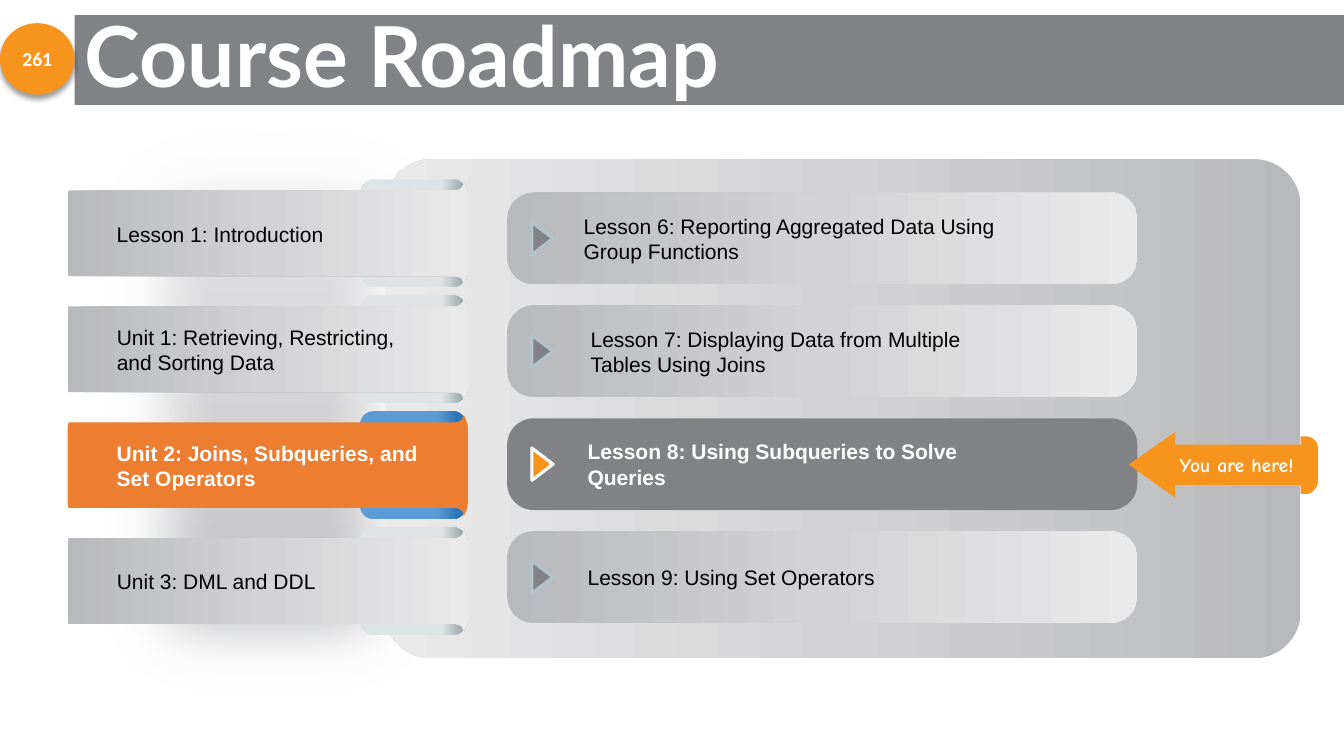
from dataclasses import dataclass

import lxml.etree
import pptx
import pptx.dml.color
import pptx.enum.shapes
import pptx.enum.text
import pptx.oxml.ns
import pptx.util

Inches = pptx.util.Inches
Pt = pptx.util.Pt
qn = pptx.oxml.ns.qn
Shape = pptx.enum.shapes.MSO_SHAPE
Align = pptx.enum.text.PP_ALIGN
Anchor = pptx.enum.text.MSO_ANCHOR
AutoSize = pptx.enum.text.MSO_AUTO_SIZE

COLORS = {
    "gray": "818286", "orange": "F7941D", "unit": "ED7D31", "white": "FFFFFF",
    "black": "000000", "rim": "B4C3C9", "dark": "B8B9BC", "mid": "D3D3D5",
    "light": "E9E9EA", "tab": "DEE4E5", "tab_fold": "96A2A7",
    "blue": "5B9BD5", "blue_fold": "2E75B6",
}


@dataclass(frozen=True)
class Gradient:
    stops: tuple[tuple[int, str], ...]
    clockwise: int = 0


@dataclass(frozen=True)
class Unit:
    text: str
    width: float
    height: float
    current: bool = False


@dataclass(frozen=True)
class Lesson:
    text: str
    left: float
    width: float
    height: float
    current: bool = False


SILVER = ((0, "dark"), (50, "mid"), (100, "light"))
ACROSS = Gradient(SILVER)
TAB = Gradient(((77, "tab"), (99, "tab_fold")))
CURRENT_TAB = Gradient(((73, "blue"), (92, "blue_fold")))

UNITS = [
    Unit("Lesson 1: Introduction", 2.66, 0.35),
    Unit("Unit 1: Retrieving, Restricting, and Sorting Data", 3.21, 0.61),
    Unit("Unit 2: Joins, Subqueries, and Set Operators", 3.26, 0.61, True),
    Unit("Unit 3: DML and DDL", 2.42, 0.35),
]
LESSONS = [
    Lesson("Lesson 6: Reporting Aggregated Data Using Group Functions", 5.69, 4.91, 0.61),
    Lesson("Lesson 7: Displaying Data from Multiple Tables Using Joins", 5.76, 4.47, 0.61),
    Lesson("Lesson 8: Using Subqueries to Solve Queries", 5.73, 4.47, 0.61, True),
    Lesson("Lesson 9: Using Set Operators", 5.73, 4.47, 0.35),
]
UNIT_TOP, UNIT_PITCH = 1.82, 1.15
LESSON_TOP, LESSON_PITCH = 1.91, 1.12

BAND = [
    (4.6, 0), (4.62, 0.03, 4.64, 0.08, 4.64, 0.13), (4.64, 0.87),
    (4.64, 0.92, 4.62, 0.96, 4.6, 1), (4.59, 0.96),
    (4.57, 0.93, 4.54, 0.92, 4.51, 0.92), (0.68, 0.92), (0.67, 0.87),
    (0.67, 0.13), (0.68, 0.07), (4.51, 0.07), (4.54, 0.07, 4.57, 0.06, 4.59, 0.03),
]
MARKER_BACK = [
    (12.9, 4.33), (12.96, 4.33), (13.01, 4.33, 13.06, 4.37, 13.06, 4.43),
    (13.06, 4.8), (13.06, 4.85, 13.01, 4.9, 12.96, 4.9), (12.9, 4.9),
]
MARKER_RIBBON = [
    (13.04, 4.37), (13.06, 4.39, 13.07, 4.41, 13.07, 4.43), (13.07, 4.79),
    (13.07, 4.81, 13.06, 4.83, 13.04, 4.85), (13.03, 4.83),
    (13.02, 4.82, 12.99, 4.81, 12.97, 4.81), (11.53, 4.81), (11.53, 4.41),
    (12.97, 4.41), (12.99, 4.41, 13.02, 4.4, 13.03, 4.39),
]


def rgb(name: str) -> pptx.dml.color.RGBColor:
    return pptx.dml.color.RGBColor.from_string(COLORS[name])


def paint(shape, fill: str | Gradient) -> None:
    shape.shadow.inherit = False
    shape.line.fill.background()
    if isinstance(fill, str):
        shape.fill.solid()
        shape.fill.fore_color.rgb = rgb(fill)
        return
    shape.fill.gradient()
    shape.fill.gradient_angle = (360 - fill.clockwise) % 360
    stops = next(shape._element.spPr.iter(qn("a:gsLst")))
    for stop in list(stops):
        stops.remove(stop)
    for position, color in fill.stops:
        stop = lxml.etree.SubElement(stops, qn("a:gs"), pos=str(position * 1000))
        lxml.etree.SubElement(stop, qn("a:srgbClr"), val=COLORS[color])


def add_block(shapes, kind, box: tuple, fill: str | Gradient, corner: float | None = None):
    block = shapes.add_shape(kind, *map(Inches, box))
    if corner is not None:
        block.adjustments[0] = corner
    paint(block, fill)
    return block


def add_outline(shapes, steps: list[tuple], fill: str | Gradient, top: float = 0):
    points = [steps[0]]
    for step in steps[1:]:
        if len(step) == 2:
            points.append(step)
            continue
        start, first, second, end = points[-1], step[:2], step[2:4], step[4:]
        for t in (k / 8 for k in range(1, 9)):
            points.append(tuple(
                a * (1 - t) ** 3 + 3 * b * t * (1 - t) ** 2 + 3 * c * t * t * (1 - t) + d * t ** 3
                for a, b, c, d in zip(start, first, second, end)))
    corners = [(Inches(x), Inches(y + top)) for x, y in points]
    builder = shapes.build_freeform(*corners[0])
    builder.add_line_segments(corners[1:], close=True)
    paint(builder.convert_to_shape(), fill)


def write(shape, text: str, size: float, font: str, color: str, bold: bool = False,
          align=Align.LEFT, auto_size=AutoSize.SHAPE_TO_FIT_TEXT) -> None:
    frame = shape.text_frame
    frame.text = text
    frame.word_wrap = True
    frame.auto_size = auto_size
    frame.vertical_anchor = Anchor.MIDDLE
    paragraph = frame.paragraphs[0]
    paragraph.alignment = align
    run_font = paragraph.runs[0].font
    run_font.size, run_font.name, run_font.bold = Pt(size), font, bold
    run_font.color.rgb = rgb(color)


def add_label(shapes, item: Unit | Lesson, left: float, middle: float) -> None:
    box = (left, middle - item.height / 2, item.width, item.height)
    label = shapes.add_textbox(*map(Inches, box))
    write(label, item.text, 15, "Arial", "white" if item.current else "black", item.current)


def add_effect(shape, tag: str, **attributes: str):
    effects = shape._element.spPr.find(qn("a:effectLst"))
    return lxml.etree.SubElement(effects, qn(tag), **attributes)


def add_header(slide) -> None:
    title = slide.shapes.title
    title.left, title.top, title.width, title.height = map(Inches, (0.74, 0.15, 12.6, 0.89))
    title.fill.solid()
    title.fill.fore_color.rgb = rgb("gray")
    write(title, "Course Roadmap", 60, "Lato", "white", True, auto_size=AutoSize.NONE)
    title.text_frame.paragraphs[0].line_spacing = 0.9
    badge = add_block(slide.shapes, Shape.OVAL, (0, 0.23, 0.74, 0.71), "orange")
    shadow = add_effect(badge, "a:outerShdw", blurRad=str(Pt(4)), dist=str(Pt(3)), dir="5400000")
    tint = lxml.etree.SubElement(shadow, qn("a:srgbClr"), val=COLORS["black"])
    lxml.etree.SubElement(tint, qn("a:alpha"), val="40000")
    number = slide.shapes.add_textbox(*map(Inches, (0.04, 0.38, 0.66, 0.4)))
    write(number, "261", 14, "Calibri", "white", True, Align.CENTER, AutoSize.NONE)


def add_lessons(shapes) -> None:
    add_block(shapes, Shape.ROUNDED_RECTANGLE, (3.82, 1.58, 9.08, 4.95),
              Gradient(SILVER, 180), 0.093)
    for row, lesson in enumerate(LESSONS):
        top = LESSON_TOP + row * LESSON_PITCH
        add_block(shapes, Shape.ROUNDED_RECTANGLE, (5.03, top, 6.25, 0.91),
                  "gray" if lesson.current else ACROSS, 0.289)
        add_label(shapes, lesson, lesson.left, top + 0.455)
        pointer = add_block(shapes, Shape.ISOSCELES_TRIANGLE, (5.22, top + 0.35, 0.32, 0.21),
                            "orange" if lesson.current else "gray")
        pointer.rotation = 90
        pointer.line.color.rgb = rgb("white" if lesson.current else "rim")
        pointer.line.width = Pt(2.25)


def add_marker(shapes) -> None:
    add_outline(shapes, MARKER_BACK, "orange")
    add_outline(shapes, MARKER_RIBBON, "orange")
    tip = add_block(shapes, Shape.ISOSCELES_TRIANGLE, (11.1, 4.38, 0.65, 0.46), "orange")
    tip.rotation = 270
    caption = add_block(shapes, Shape.RECTANGLE, (11.54, 4.44, 1.45, 0.34), "orange")
    write(caption, "You are here!", 14, "Comic Neue", "white", True, Align.CENTER)


def add_units(shapes) -> None:
    for row, unit in enumerate(UNITS):
        top = UNIT_TOP + row * UNIT_PITCH
        add_block(shapes, Shape.ROUNDED_RECTANGLE, (3.57, top - 0.04, 1.05, 1.07),
                  CURRENT_TAB if unit.current else TAB, 0.126)
        add_outline(shapes, BAND, "unit" if unit.current else ACROSS, top)
        add_label(shapes, unit, 1.06, top + 0.5)


def main() -> None:
    deck = pptx.Presentation()
    deck.slide_width, deck.slide_height = Inches(13.33), Inches(7.5)
    slide = deck.slides.add_slide(deck.slide_layouts[5])
    add_header(slide)
    haze = add_block(slide.shapes, Shape.RECTANGLE, (0.8, 1.08, 3.74, 6.01), Gradient(SILVER, 270))
    add_effect(haze, "a:softEdge", rad=str(Pt(50)))
    add_lessons(slide.shapes)
    add_marker(slide.shapes.add_group_shape().shapes)
    add_units(slide.shapes)
    deck.save("out.pptx")


if __name__ == "__main__":
    main()
